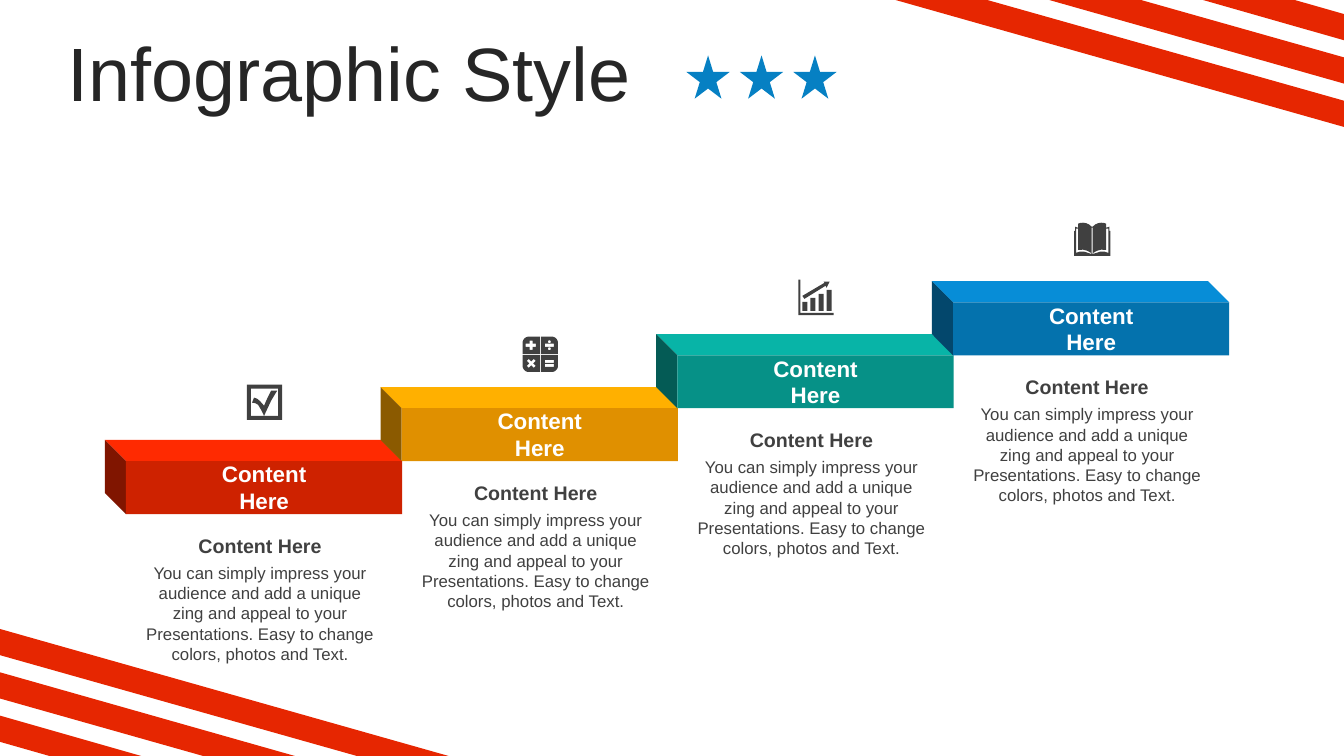
import dataclasses
import math

import pptx
import pptx.dml.color
import pptx.enum.shapes
import pptx.enum.text
import pptx.util

CELL = pptx.util.Inches(0.1)
COLUMNS, ROWS = 133.33, 75
ANCHOR = pptx.enum.text.MSO_ANCHOR
ALIGN = pptx.enum.text.PP_ALIGN
PRESET = pptx.enum.shapes.MSO_SHAPE


@dataclasses.dataclass(frozen=True)
class Theme:
    """Colours, type sizes and font of the slide."""
    font: str = "Arial"
    title_size: int = 54
    label_size: int = 16
    heading_size: int = 14
    body_size: int = 12
    title: str = "262626"
    text: str = "404040"
    label: str = "FFFFFF"
    star: str = "0680C3"
    stripe: str = "E62601"
    fronts: tuple = ("CE2200", "E09000", "069187", "0472AD")
    tops: tuple = ("FF2A01", "FFB000", "08B4A7", "078DD7")
    sides: tuple = ("801500", "8B5A00", "045B55", "03476C")


THEME = Theme()
BODY = ("You can simply impress your audience and add a unique zing and appeal "
        "to your Presentations. Easy to change colors, photos and Text.")


def cells(*lengths):
    """Turn grid cells into slide lengths."""
    return [round(length * CELL) for length in lengths]


def paint(shape, color):
    """Give a shape a plain fill without line or shadow."""
    shape.shadow.inherit = False
    shape.fill.solid()
    shape.fill.fore_color.rgb = pptx.dml.color.RGBColor.from_string(color)
    shape.line.fill.background()


def add_preset(slide, preset, box, color):
    """Add a filled preset shape."""
    paint(slide.shapes.add_shape(preset, *cells(*box)), color)


def add_outline(slide, contours, left, top, color):
    """Add a freeform whose contours are in tenths of a cell from left and top."""
    scaled = [[(x * 10, y * 10) for x, y in contour] for contour in contours]
    builder = slide.shapes.build_freeform(*scaled[0][0], scale=CELL / 100)
    for index, contour in enumerate(scaled):
        if index:
            builder.move_to(*contour[0])
        builder.add_line_segments(contour[1:], close=True)
    paint(builder.convert_to_shape(*cells(left, top)), color)


def write(shape, text, *, size, color, bold=False, align=ALIGN.CENTER,
          anchor=ANCHOR.MIDDLE, inset_left=1, spacing=None):
    """Write one formatted paragraph into a shape."""
    frame = shape.text_frame
    frame.word_wrap = True
    frame.auto_size = pptx.enum.text.MSO_AUTO_SIZE.NONE
    frame.vertical_anchor = anchor
    frame.margin_left = cells(inset_left)[0]
    paragraph = frame.paragraphs[0]
    paragraph.text = text
    paragraph.alignment = align
    paragraph.line_spacing = spacing
    paragraph.font.name = THEME.font
    paragraph.font.size = pptx.util.Pt(size)
    paragraph.font.bold = bold
    paragraph.font.color.rgb = pptx.dml.color.RGBColor.from_string(color)


def add_text(slide, box, text, **style):
    """Add a text box with formatted text."""
    write(slide.shapes.add_textbox(*cells(*box)), text, **style)


def rectangle(left, top, right, bottom):
    """Return the corners of a rectangle."""
    return [(left, top), (right, top), (right, bottom), (left, bottom)]


def arc(x, y, radius, start, end, steps=8):
    """Return points along an arc given in degrees."""
    angles = [math.radians(start + (end - start) * step / steps) for step in range(steps + 1)]
    return [(x + radius * math.cos(angle), y + radius * math.sin(angle)) for angle in angles]


def mirror(points, width):
    """Reflect points from left to right in reverse order."""
    return [(width - x, y) for x, y in reversed(points)]


def checkbox_icon():
    """Return the contours of a ticked box."""
    inside = [(4, 4), (4, 31), (17, 31), (14, 25), (11, 20), (8, 18.4), (5, 18), (7, 13),
              (10, 14), (13, 16.5), (17, 21), (20, 14), (24, 6), (30, 6), (24, 16),
              (17, 31), (31, 31), (31, 4)]
    return [rectangle(0, 0, 35, 35), inside]


def calculator_icon():
    """Return the contours of four rounded calculator keys."""
    keys = [[(17, 17), (0, 17)] + arc(6, 6, 6, 180, 270) + [(17, 0)],
            [(18, 17), (18, 0)] + arc(29, 6, 6, 270, 360) + [(35, 17)],
            [(18, 18), (35, 18)] + arc(29, 29, 6, 0, 90) + [(18, 35)],
            [(17, 18), (17, 35)] + arc(6, 29, 6, 90, 180) + [(0, 18)]]
    plus = [(7, 4), (7, 7), (3, 7), (3, 10), (7, 10), (7, 13),
            (10, 13), (10, 10), (13, 10), (13, 7), (10, 7), (10, 4)]
    times = [(6, 22), (4, 24), (6.5, 26.5), (4, 29), (6, 31), (8.5, 28.5),
             (11, 31), (13, 29), (10.5, 26.5), (13, 24), (11, 22), (8.5, 24.5)]
    bars = [rectangle(22, top, 31, top + 3) for top in (7, 23, 27)]
    dots = [arc(26.5, y, 1.5, 0, 360) for y in (5, 12)]
    return keys + [plus, times] + bars + dots


def chart_icon():
    """Return the contours of rising bars under an arrow."""
    bars = [rectangle(4 + 8 * index, 22 - 4 * index, 9 + 8 * index, 31) for index in range(4)]
    arrow = [(25, 2), (31, 2), (28, 8), (27, 6), (6, 19), (4, 16), (26, 3)]
    axes = [(0, 0), (2, 0), (2, 33), (35, 33), (35, 35), (0, 35)]
    return bars + [arrow, axes]


def book_icon():
    """Return the contours of an open book."""
    cover = [(0, 33), (0, 8), (1, 8), (1, 4), (4, 5), (4, 1), (6, 0.3), (9, 0),
             (12, 0.4), (15, 1.8), (17.5, 4)]
    page = [(4, 6), (2, 6), (2, 30), (6, 28.6), (10, 28.7), (17, 31), (17, 30),
            (13, 27.8), (9, 26.8), (4, 27)]
    return [cover + mirror(cover, 36), page, mirror(page, 36), rectangle(17.6, 5, 18.4, 31)]


def add_stripes(slide, left, top, turned=False):
    """Add three slanted corner stripes, turned half round if asked."""
    width, height = 445, 126
    contours = []
    for index in range(3):
        drop, shift = 43 * index, 152.5 * index
        stripe = [(0, drop), (width - shift, height), (354 - shift, height), (0, drop + 26)]
        contours.append([(width - x, height - y) for x, y in stripe] if turned else stripe)
    add_outline(slide, contours, left, top, THEME.stripe)


def add_header(slide, left, top):
    """Place the title and its row of stars."""
    title = slide.shapes.title
    title.left, title.top, title.width, title.height = cells(left, top, 120.8, 7.9)
    write(title, "Infographic Style", size=THEME.title_size, color=THEME.title,
          align=ALIGN.LEFT, spacing=0.9)
    for index in range(3):
        add_preset(slide, PRESET.STAR_5_POINT,
                   (left + 62.4 + 5.3 * index, top + 1.8, 4.3, 4.3), THEME.star)


def add_stage(slide, index, left, top, icon, icon_rise):
    """Place one solid step with its icon, label and description."""
    width, height, depth = 27.4, 5.25, 2.1
    right, bottom, back = width * 10, height * 10, depth * 10
    upper = [(0, 0), (right, 0), (right + back, back), (back, back)]
    side = [(0, 0), (back, back), (back, back + bottom), (0, bottom)]
    add_outline(slide, [upper], left - depth, top - depth, THEME.tops[index])
    add_outline(slide, [side], left - depth, top - depth, THEME.sides[index])
    add_preset(slide, PRESET.RECTANGLE, (left, top, width, height), THEME.fronts[index])
    add_text(slide, (left + 6.3, top + 0.75, 14.8, 3.7), "Content Here",
             size=THEME.label_size, color=THEME.label, bold=True)
    add_text(slide, (left + 1.8, top + 6.7, 24, 3.4), "Content Here",
             size=THEME.heading_size, color=THEME.text, bold=True, inset_left=0)
    add_text(slide, (left + 1.8, top + 9.6, 24, 11.1), BODY, size=THEME.body_size,
             color=THEME.text, anchor=ANCHOR.TOP, inset_left=0)
    add_outline(slide, icon, left + 12, top - icon_rise, THEME.text)


def main():
    """Build and save the slide."""
    presentation = pptx.Presentation()
    presentation.slide_width, presentation.slide_height = cells(COLUMNS, ROWS)
    slide = presentation.slides.add_slide(presentation.slide_layouts[5])
    add_stripes(slide, 0, ROWS - 12.6)
    add_stripes(slide, COLUMNS - 44.5, 0, turned=True)
    add_header(slide, 5.7, 3.7)
    icons = ((checkbox_icon(), 7.6), (calculator_icon(), 7.1),
             (chart_icon(), 7.5), (book_icon(), 7.9))
    for index, (icon, icon_rise) in enumerate(icons):
        add_stage(slide, index, 12.5 + 27.35 * index, 45.75 - 5.25 * index, icon, icon_rise)
    presentation.save("out.pptx")


if __name__ == "__main__":
    main()
